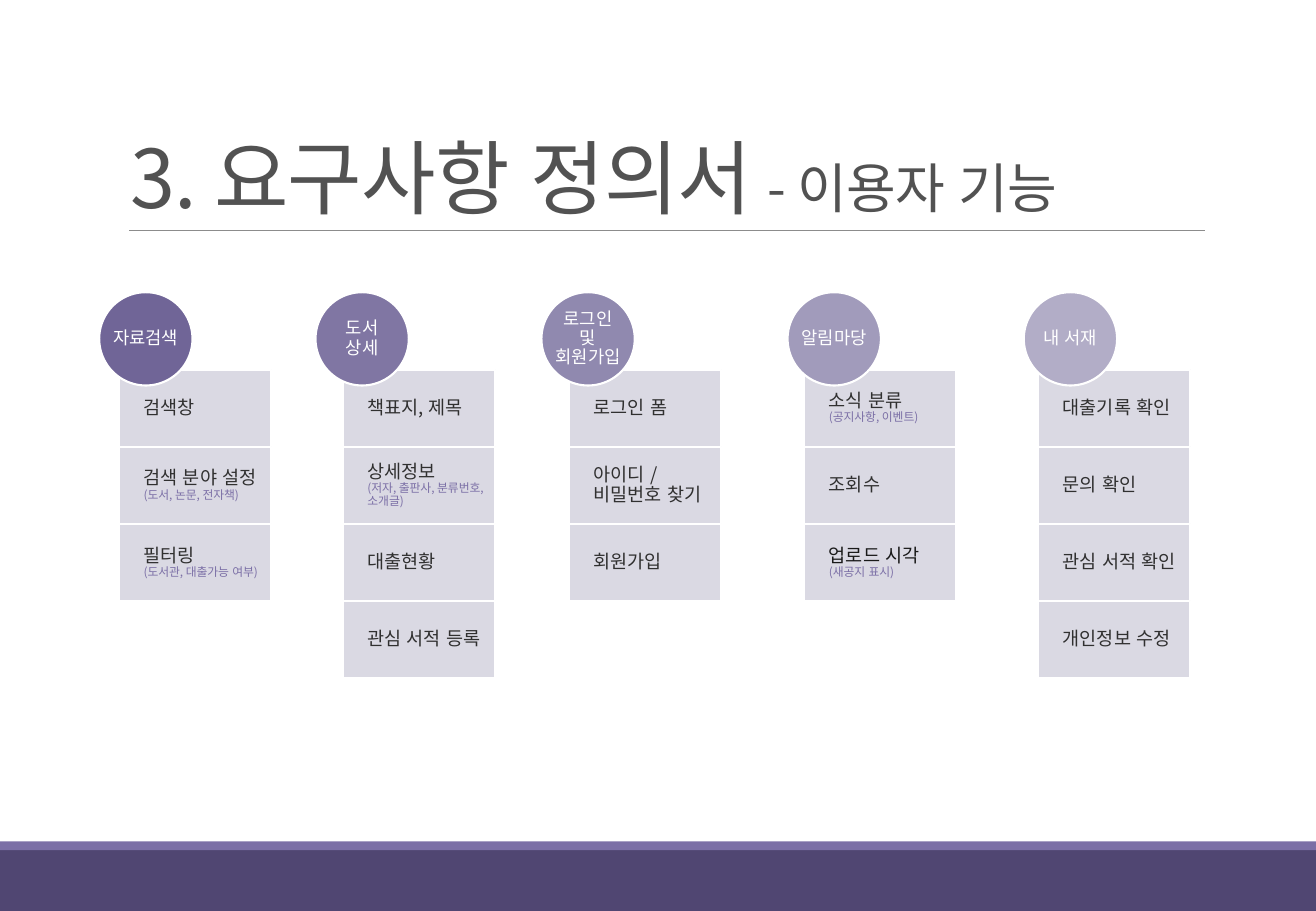
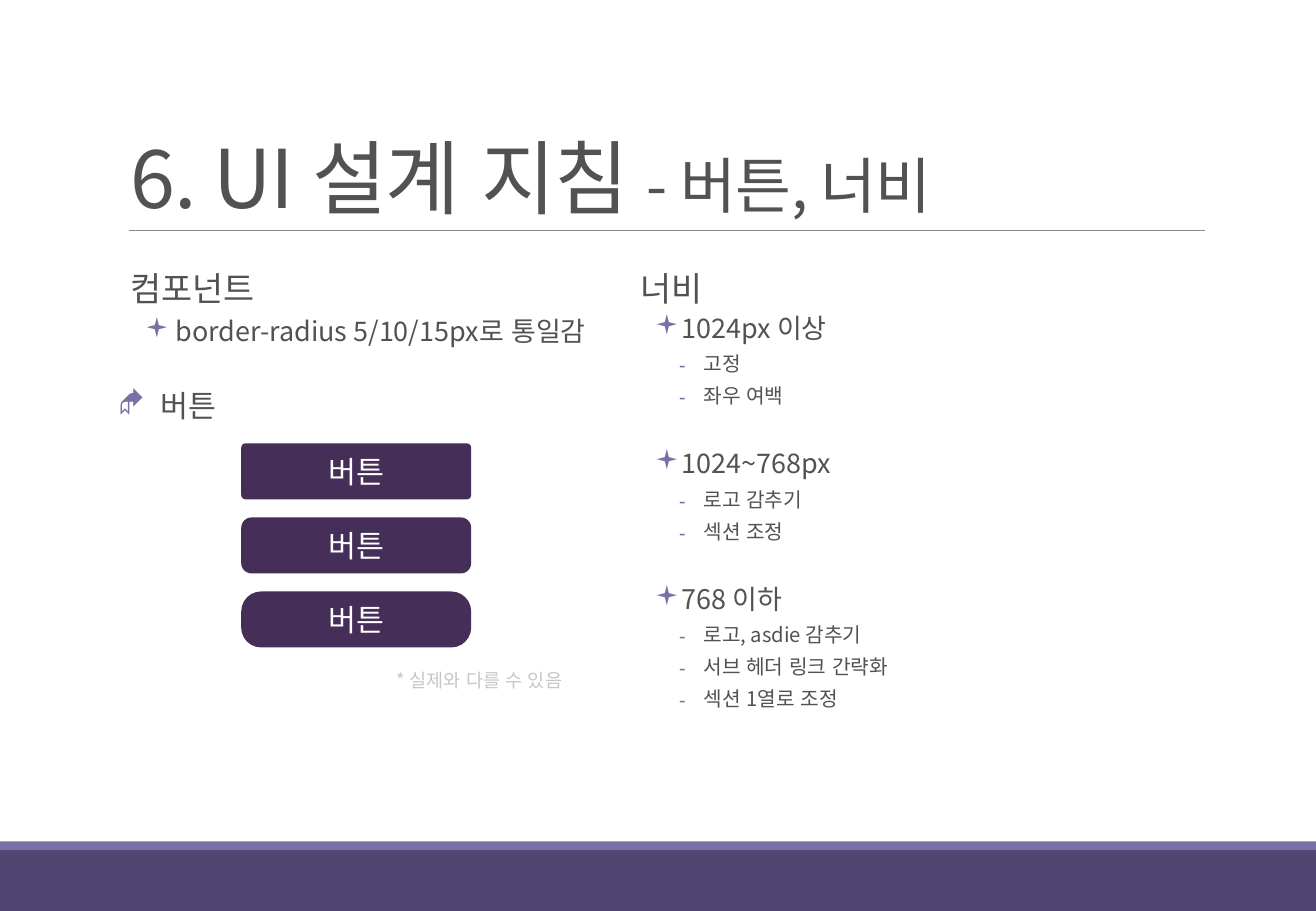
from lxml import etree
from pptx import Presentation
from pptx.dml.color import RGBColor
from pptx.enum.lang import MSO_LANGUAGE_ID as Lang
from pptx.enum.shapes import MSO_CONNECTOR as Connector, MSO_SHAPE as Preset
from pptx.enum.text import MSO_ANCHOR as Anchor, PP_ALIGN as Align
from pptx.oxml.ns import qn
from pptx.util import Pt

PAGE_W, PAGE_H = 780, 540
FONT, SYMBOL_FONT = "Noto Sans CJK KR", "Wingdings"
COLORS = {
    "band": "504672", "accent": "7B6FA6", "rule": "8C8C8C", "body": "525252",
    "tile": "D7D5E1", "tile_text": "303030", "dark_text": "191919",
    "white": "FFFFFF", "button": "452F58", "note": "C6C6C6",
    "circle1": "706597", "circle2": "8076A3", "circle3": "9089AF",
    "circle4": "A19BBB", "circle5": "B2ADC7",
}

# Feature columns: circle left, tile left, heading, tiles (label, detail, colour)
FEATURES = [
    (58.8, 70.6, "자료검색", [
        ("검색창",), ("검색 분야 설정", "(도서, 논문, 전자책)"),
        ("필터링", "(도서관, 대출가능 여부)")]),
    (187, 203.3, "도서 상세", [
        ("책표지, 제목",), ("상세정보", "(저자, 출판사, 분류번호, 소개글)"),
        ("대출현황",), ("관심 서적 등록",)]),
    (320.9, 337.3, "로그인 및 회원가입", [
        ("로그인 폼",), ("아이디 /\v비밀번호 찾기",), ("회원가입",)]),
    (466.8, 476.8, "알림마당", [
        ("소식 분류", "(공지사항, 이벤트)"), ("조회수",),
        ("업로드 시각", "(새공지 표시)", "dark_text")]),
    (606.8, 615.4, "내 서재", [
        ("대출기록 확인",), ("문의 확인",), ("관심 서적 확인",), ("개인정보 수정",)]),
]

# List styles: size, margin, indent, line spacing, before, after, bullet, its font
STYLES = {
    "heading": (20, 7.2, 0, 0.9, 0, 2, None, None),
    "wide_item": (16, 34.3, -18.4, 0.9, 4, 4, "▪", SYMBOL_FONT),
    "diamond": (18, 25.4, -25.4, 1.2, 15, 2, "◆", SYMBOL_FONT),
    "item": (16, 30.2, -14.4, 0.9, 2, 4, "▪", SYMBOL_FONT),
    "next_item": (16, 30.2, -14.4, 0.9, 21, 4, "▪", SYMBOL_FONT),
    "detail": (12, 44.6, -14.4, 0.9, 2, 4, "⁃", FONT),
}
COMPONENTS = [("heading", "컴포넌트"),
              ("wide_item", "border-radius 5/10/15px로 통일감"),
              ("diamond", "버튼")]
WIDTHS = [
    ("heading", "너비"),
    ("item", "1024px 이상"), ("detail", "고정"), ("detail", "좌우 여백"),
    ("next_item", "1024~768px"), ("detail", "로고 감추기"), ("detail", "섹션 조정"),
    ("next_item", "768 이하"), ("detail", "로고, asdie 감추기"),
    ("detail", "서브 헤더 링크 간략화"), ("detail", "섹션 1열로 조정"),
]


def rgb(name):
    return RGBColor.from_string(COLORS[name])


def style_span(span, size, color):
    font = span.font
    font.size, font.name, font.language_id = Pt(size), FONT, Lang.KOREAN
    font.color.rgb = rgb(color)
    etree.SubElement(font._element, qn("a:ea"), typeface=FONT)


def set_frame(frame, insets, anchor=Anchor.TOP):
    frame.word_wrap = True
    frame.vertical_anchor = anchor
    (frame.margin_left, frame.margin_top,
     frame.margin_right, frame.margin_bottom) = map(Pt, insets)


def add_text_box(page, area, insets, anchor=Anchor.TOP):
    frame = page.shapes.add_textbox(*map(Pt, area)).text_frame
    set_frame(frame, insets, anchor)
    return frame


def add_block(page, preset, area, fill, outline=None):
    shape = page.shapes.add_shape(preset, *map(Pt, area))
    shape.shadow.inherit = False
    shape.fill.solid()
    shape.fill.fore_color.rgb = rgb(fill)
    if outline:
        shape.line.color.rgb = rgb(outline)
        shape.line.width = Pt(1.25)
    else:
        shape.line.fill.background()
    return shape


def set_label(shape, text, size, color, insets=(0, 0, 0, 0), align=Align.CENTER):
    set_frame(shape.text_frame, insets, Anchor.MIDDLE)
    para = shape.text_frame.paragraphs[0]
    para.text, para.alignment, para.line_spacing = text, align, 0.9
    for span in para.runs:
        style_span(span, size, color)
    return para


def add_page(deck, title, subtitle, subtitle_size):
    page = deck.slides.add_slide(deck.slide_layouts[6])
    # Footer bands
    add_block(page, Preset.RECTANGLE, (0, 504, PAGE_W, 36), "band")
    add_block(page, Preset.RECTANGLE, (0, 498.7, PAGE_W, 5.3), "accent")
    # Rule under the title
    rule = page.shapes.add_connector(Connector.STRAIGHT,
                                     *map(Pt, (76.5, 136.8, 714.2, 136.8)))
    rule.line.color.rgb, rule.line.width = rgb("rule"), Pt(0.5)
    etree.SubElement(rule._element.spPr, qn("a:effectLst"))
    # Title
    frame = add_text_box(page, (70.3, 22.3, 643.7, 114.5), (7.2, 3.6, 7.2, 3.6),
                         Anchor.BOTTOM)
    para = frame.paragraphs[0]
    para.line_spacing = 0.85
    for text, size in ((title, 48), (f" - {subtitle}", subtitle_size)):
        span = para.add_run()
        span.text = text
        style_span(span, size, "body")
        span.font._element.set("spc", "-50")
    return page


def add_tile(page, area, label, detail="", color="tile_text"):
    tile = add_block(page, Preset.RECTANGLE, area, "tile", "white")
    solid_color = tile._element.spPr.find(qn("a:solidFill"))[0]
    etree.SubElement(solid_color, qn("a:alpha"), val="90000")
    text = f"{label}\v{detail}" if detail else label
    para = set_label(tile, text, 11, color, (14.5, 6.5, 6.5, 6.5), Align.LEFT)
    if detail:
        font = para.runs[-1].font
        font.size, font.color.rgb = Pt(7), rgb("accent")


def add_feature_column(page, top, number, feature):
    circle_left, tile_left, heading, tiles = feature
    diameter, tile_w, tile_h = 55.3, 90.2, 45.7
    for row, tile in enumerate(tiles):
        area = (tile_left, top + 45.9 + row * tile_h, tile_w, tile_h)
        add_tile(page, area, *tile)
    circle = add_block(page, Preset.OVAL, (circle_left, top, diameter, diameter),
                       f"circle{number}", "white")
    set_label(circle, heading, 10.5, "white")


def add_bullet(para, margin, indent, bullet, typeface):
    props = para._p.get_or_add_pPr()
    props.set("marL", str(Pt(margin)))
    props.set("indent", str(Pt(indent)))
    if bullet:
        color = etree.SubElement(props, qn("a:buClr"))
        etree.SubElement(color, qn("a:srgbClr"), val=COLORS["accent"])
        etree.SubElement(props, qn("a:buFont"), typeface=typeface)
        etree.SubElement(props, qn("a:buChar"), char=bullet)


def add_list(page, area, items):
    frame = add_text_box(page, area, (0, 3.6, 0, 3.6))
    frame.text = "\n".join(text for _, text in items)
    for para, (style, _) in zip(frame.paragraphs, items):
        size, margin, indent, spacing, before, after, bullet, typeface = STYLES[style]
        add_bullet(para, margin, indent, bullet, typeface)
        para.line_spacing = spacing
        para.space_before, para.space_after = Pt(before), Pt(after)
        style_span(para.runs[0], size, "body")


def add_button_samples(page, left, top):
    width, height, pitch = 136.3, 33.2, 43.9
    for row, radius in enumerate((0.075, 0.184, 0.356)):
        button = add_block(page, Preset.ROUNDED_RECTANGLE,
                           (left, top + row * pitch, width, height), "button")
        button.adjustments[0] = radius
        set_label(button, "버튼", 18, "white").line_spacing = 1.0
    # Note below the buttons
    note = add_text_box(page, (left + 92.2, top + 131.8, 128, 29.5),
                        (0, 3.6, 0, 3.6)).paragraphs[0]
    note.text, note.line_spacing = "* 실제와 다를 수 있음", 0.9
    style_span(note.runs[0], 11, "note")


def build_features(deck):
    page = add_page(deck, "3. 요구사항 정의서", "이용자 기능", 32)
    for number, feature in enumerate(FEATURES, 1):
        add_feature_column(page, 173.2, number, feature)


def build_guidelines(deck):
    page = add_page(deck, "6. UI 설계 지침", "버튼, 너비", 36)
    list_w, list_h = 302.4, 304.6
    for column, items in enumerate((COMPONENTS, WIDTHS)):
        add_list(page, (70 + column * list_w, 157.7, list_w, list_h), items)
    add_button_samples(page, 143, 262.8)


def main():
    deck = Presentation()
    deck.slide_width, deck.slide_height = Pt(PAGE_W), Pt(PAGE_H)
    build_features(deck)
    build_guidelines(deck)
    deck.save("out.pptx")


if __name__ == "__main__":
    main()
